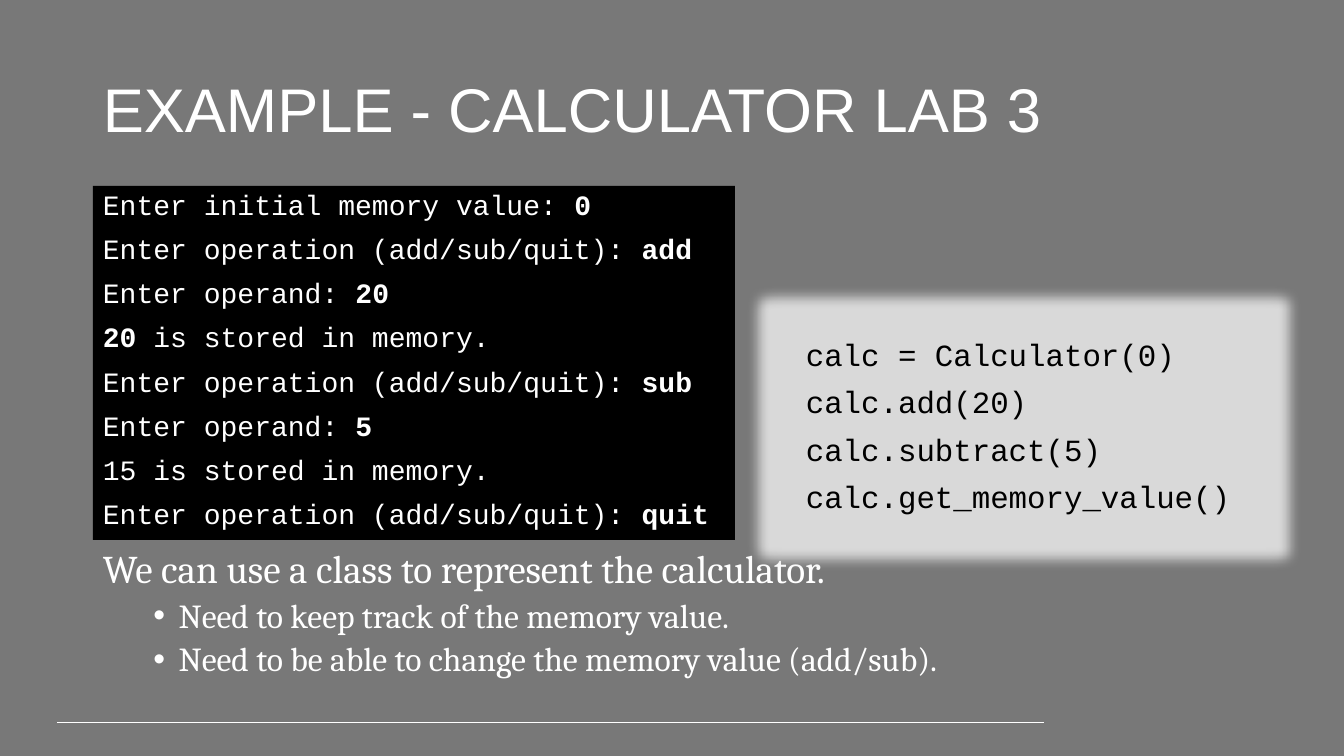
from lxml import etree
from pptx import Presentation
from pptx.dml.color import RGBColor as RGB
from pptx.enum.shapes import MSO_CONNECTOR as LINK, MSO_SHAPE as SHAPE
from pptx.enum.text import MSO_ANCHOR as ANCHOR, PP_ALIGN as ALIGN
from pptx.oxml.ns import qn
from pptx.util import Emu, Inches, Pt

WHITE = RGB(0xFF, 0xFF, 0xFF)
BLACK = RGB(0x00, 0x00, 0x00)
GREY = RGB(0x78, 0x78, 0x78)
PALE = RGB(0xD9, 0xD9, 0xD9)
MONO = "Courier New"
SCALE = 914400 / 100.8

ASK = "Enter operation (add/sub/quit): "
# Each line is a list of (text, bold) runs
SESSION = [
    [("Enter initial memory value: ", False), ("0", True)],
    [(ASK, False), ("add", True)],
    [("Enter operand: ", False), ("20", True)],
    [("20", True), (" is stored in memory.", False)],
    [(ASK, False), ("sub", True)],
    [("Enter operand: ", False), ("5", True)],
    [("15 is stored in memory.", False)],
    [(ASK, False), ("quit", True)],
]
CALLS = ["calc = Calculator(0)", "calc.add(20)", "calc.subtract(5)",
         "calc.get_memory_value()"]
NEEDS = ["Need to keep track of the memory value.",
         "Need to be able to change the memory value (add/sub)."]


def px(*nums):
    return [Emu(round(n * SCALE)) for n in nums]


def add_para(frame, runs, font, size, color, gap=10):
    # The first paragraph already exists in a new frame
    first = frame.paragraphs[0]
    para = frame.add_paragraph() if first.runs else first
    para.alignment = ALIGN.LEFT
    para.line_spacing = 0.9
    para.space_before = Pt(gap)
    para.font.name = font
    para.font.size = Pt(size)
    para.font.color.rgb = color
    for text, bold in runs:
        run = para.add_run()
        run.text = text
        run.font.bold = bold
    return para


def add_bullet(para):
    props = para._p.get_or_add_pPr()
    props.set("marL", str(Inches(0.75)))
    props.set("indent", str(Inches(-0.25)))
    font = etree.Element(qn("a:buFont"), typeface="Arial")
    mark = etree.Element(qn("a:buChar"), char="•")
    # Bullets stand before the default run properties
    where = props.find(qn("a:defRPr"))
    for item in (font, mark):
        if where is None:
            props.append(item)
        else:
            where.addprevious(item)


def add_text(slide, box, anchor=ANCHOR.TOP):
    frame = slide.shapes.add_textbox(*px(*box)).text_frame
    frame.word_wrap = True
    frame.vertical_anchor = anchor
    return frame


def add_panel(slide, box, fill):
    panel = slide.shapes.add_shape(SHAPE.RECTANGLE, *px(*box))
    panel.shadow.inherit = False
    panel.fill.solid()
    panel.fill.fore_color.rgb = fill
    panel.line.fill.background()
    panel.text_frame.word_wrap = True
    panel.text_frame.vertical_anchor = ANCHOR.TOP
    return panel


def add_glow(shape, color, size):
    effects = shape._element.spPr.find(qn("a:effectLst"))
    glow = etree.SubElement(effects, qn("a:glow"), rad=str(Pt(size)))
    etree.SubElement(glow, qn("a:srgbClr"), val=str(color))


def add_rule(slide, ends):
    rule = slide.shapes.add_connector(LINK.STRAIGHT, *px(*ends))
    rule.line.color.rgb = WHITE
    rule.line.width = Pt(0.75)
    etree.SubElement(rule._element.spPr, qn("a:effectLst"))


def main():
    deck = Presentation()
    deck.slide_width, deck.slide_height = px(1344, 756)
    slide = deck.slides.add_slide(deck.slide_layouts[6])
    slide.background.fill.solid()
    slide.background.fill.fore_color.rgb = GREY

    # Footer rule and title
    add_rule(slide, (57, 723, 1044, 723))
    title = add_text(slide, (93, 40, 1159, 146), ANCHOR.MIDDLE)
    add_para(title, [("EXAMPLE - CALCULATOR LAB 3", False)],
             "Arial", 44, WHITE, 0)

    # Console session
    console = add_panel(slide, (93, 186, 642, 354), BLACK)
    for runs in SESSION:
        add_para(console.text_frame, runs, MONO, 20, WHITE)

    # Explanation
    notes = add_text(slide, (93, 545, 974, 140))
    add_para(notes, [("We can use a class to represent the calculator.", False)],
             "Cambria", 28, WHITE)
    for need in NEEDS:
        para = add_para(notes, [(need, False)], "Cambria", 24, WHITE, 5)
        para.level = 1
        add_bullet(para)

    # Matching code, with a soft edge
    code = add_panel(slide, (796, 335, 456, 186), PALE)
    add_glow(code, PALE, 18)
    for call in CALLS:
        add_para(code.text_frame, [(call, False)], MONO, 22, BLACK)

    deck.save("out.pptx")


main()
